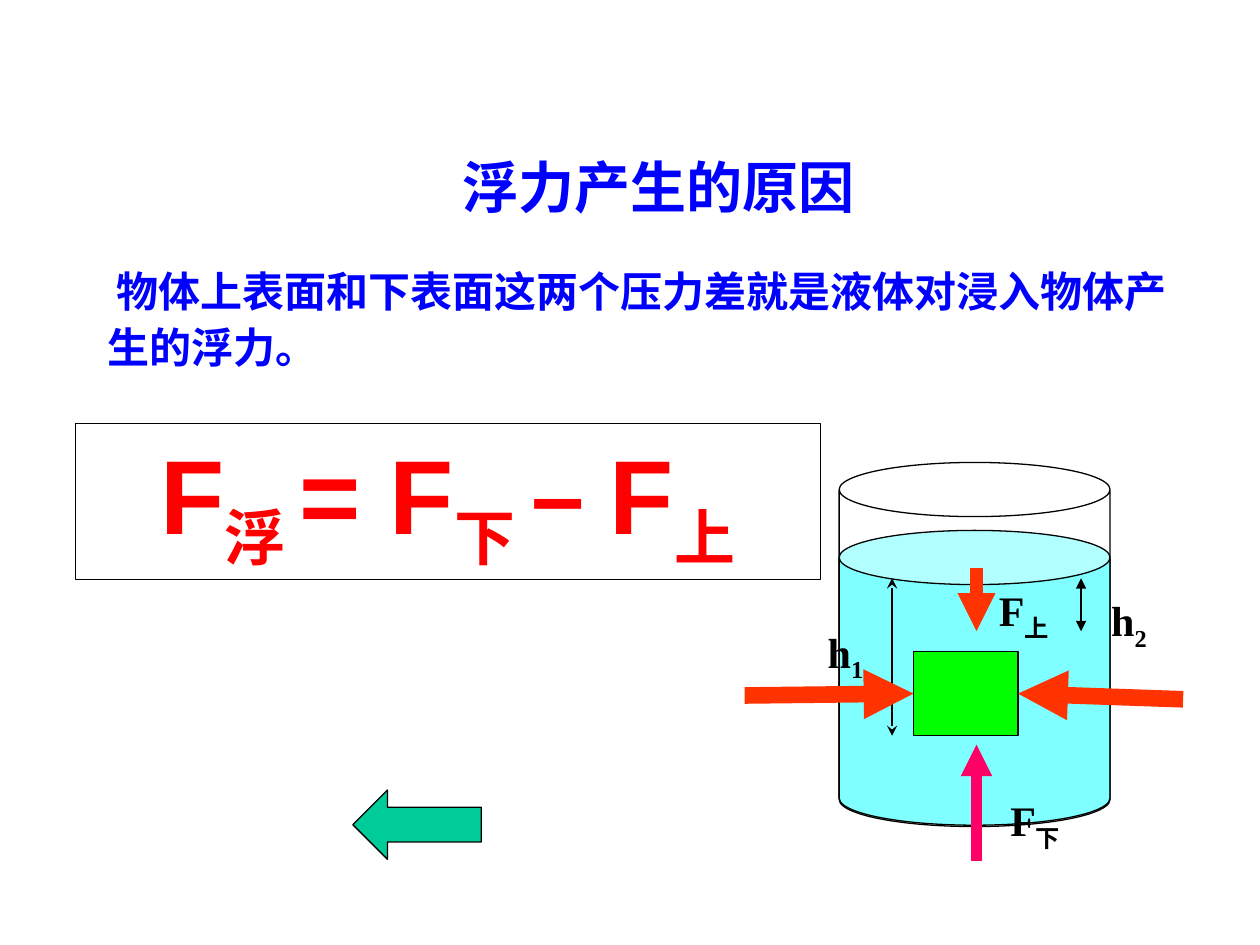
"""Build a slide on the cause of buoyancy, with a labelled force diagram."""
from lxml import etree
from pptx import Presentation
from pptx.dml.color import RGBColor
from pptx.enum.shapes import MSO_CONNECTOR, MSO_SHAPE
from pptx.enum.text import MSO_ANCHOR, MSO_AUTO_SIZE, PP_ALIGN
from pptx.oxml.ns import qn
from pptx.util import Inches, Pt

STRAIGHT = MSO_CONNECTOR.STRAIGHT
CAN, RECT, LEFT_ARROW = MSO_SHAPE.CAN, MSO_SHAPE.RECTANGLE, MSO_SHAPE.LEFT_ARROW
LEFT, CENTER = PP_ALIGN.LEFT, PP_ALIGN.CENTER
TOP, NO_AUTOFIT = MSO_ANCHOR.TOP, MSO_AUTO_SIZE.NONE

BLACK = RGBColor(0, 0, 0)
BLUE = RGBColor(0, 0, 0xFF)
RED = RGBColor(0xFF, 0, 0)
CYAN = RGBColor(0, 0xFF, 0xFF)
GREEN = RGBColor(0, 0xFF, 0)
TEAL = RGBColor(0, 0xCC, 0x99)
ORANGE = RGBColor(0xFF, 0x33, 0)
PINK = RGBColor(0xFF, 0, 0x66)

SERIF, SANS, CJK = "Times New Roman", "Arial", "Noto Sans CJK SC"
SUB = True

TITLE = [(" 浮力产生的原因",)]
BODY = [(" 物体上表面和下表面这两个压力差就是液体对浸入物体产生的浮力。",)]
FORMULA = [("F",), ("浮 ", SUB), ("= F",), ("下 ", SUB),
           ("– ", False, CJK), ("F",), ("上", SUB)]
LABELS = [
    ("h", "1", (6.42, 4.92, 0.58, 0.56), CENTER),
    ("h", "2", (8.67, 4.67, 0.58, 0.56), CENTER),
    ("F", "下", (7.92, 6.26, 0.75, 0.56), LEFT),
    ("F", "上", (7.83, 4.59, 0.92, 0.56), LEFT),
]
SHAPES = {
    "beaker": (CAN, (6.66, 3.67, 2.15, 2.89), [0.2], None),
    "water": (CAN, (6.66, 4.21, 2.15, 2.34), [0.2], CYAN),
    "block": (RECT, (7.25, 5.17, 0.83, 0.67), [], GREEN),
    "back arrow": (LEFT_ARROW, (2.8, 6.27, 1.02, 0.55), [0.5, 0.5], TEAL),
}
ARROWS = [
    ((7.75, 4.51), (7.75, 5.01), ORANGE, 7.25, None, "triangle"),
    ((7.08, 4.59), (7.08, 5.84), BLACK, 0.75, "stealth", "stealth"),
    ((8.58, 4.59), (8.58, 5.01), BLACK, 0.75, "triangle", "triangle"),
    ((7.75, 6.83), (7.75, 5.91), PINK, 6, None, "triangle"),
]
SIDE_FORCES = [((5.91, 5.52), 1), ((9.39, 5.55), 3)]


def add_text(tf, runs, size=24, font=SANS, color=BLACK, align=LEFT, spacing=1.0, wrap=True):
    tf.word_wrap, tf.auto_size, tf.vertical_anchor = wrap, NO_AUTOFIT, TOP
    p = tf.paragraphs[0]
    pPr = p._p.get_or_add_pPr()
    pPr.set("marL", "0")
    pPr.set("indent", "0")
    etree.SubElement(pPr, qn("a:buNone"))
    p.alignment, p.line_spacing, p.space_before = align, spacing, Pt(0)
    for text, sub, face in ((*run, False, font)[:2] + (run[2] if len(run) > 2 else font,)
                            for run in runs):
        r = p.add_run()
        r.text = text
        r.font.size, r.font.bold, r.font.name = Pt(size), True, face
        r.font.color.rgb = color
        rPr = r._r.get_or_add_rPr()
        etree.SubElement(rPr, qn("a:ea"), typeface=CJK)
        if sub:
            rPr.set("baseline", "-25000")


def place(sp, box):
    sp.left, sp.top, sp.width, sp.height = map(Inches, box)
    return sp


def add_shape(slide, kind, box, adjustments, fill):
    sp = slide.shapes.add_shape(kind, *map(Inches, box))
    sp.shadow.inherit = False
    for i, value in enumerate(adjustments):
        sp.adjustments[i] = value
    if fill is None:
        sp.fill.background()
    else:
        sp.fill.solid()
        sp.fill.fore_color.rgb = fill
    sp.line.color.rgb, sp.line.width = BLACK, Pt(0.75)
    return sp


def add_arrow(slide, start, end, color, width, head, tail):
    line = slide.shapes.add_connector(STRAIGHT, *map(Inches, start + end))
    line.line.color.rgb, line.line.width = color, Pt(width)
    ln = line.line._get_or_add_ln()
    for tag, kind in (("a:headEnd", head), ("a:tailEnd", tail)):
        if kind:
            etree.SubElement(ln, qn(tag), type=kind)
    etree.SubElement(line._element.spPr, qn("a:effectLst"))
    return line


def main():
    prs = Presentation()
    prs.slide_width, prs.slide_height = Inches(10), Inches(7.5)
    s = prs.slides.add_slide(prs.slide_layouts[1])
    title, body = s.placeholders
    add_text(place(title, (3.04, 1.16, 4.27, 0.64)).text_frame, TITLE,
             size=32, color=BLUE, align=CENTER)
    add_text(place(body, (0.75, 2.02, 8.83, 0.98)).text_frame, BODY,
             color=BLUE, spacing=1.1)

    shapes = {name: add_shape(s, *spec) for name, spec in SHAPES.items()}
    water_fill = shapes["water"]._element.spPr.find(qn("a:solidFill"))
    etree.SubElement(water_fill[0], qn("a:alpha"), val="50000")

    for arrow in ARROWS:
        add_arrow(s, *arrow)
    for letter, sub, box, align in LABELS:
        tb = s.shapes.add_textbox(*map(Inches, box))
        add_text(tb.text_frame, [(letter,), (sub, SUB)], font=SERIF, align=align)
    for start, side in SIDE_FORCES:
        force = add_arrow(s, start, start, ORANGE, 9.5, None, "triangle")
        force.end_connect(shapes["block"], side)

    formula = add_shape(s, RECT, (0.6, 3.36, 5.91, 1.24), [], None)
    add_text(formula.text_frame, FORMULA, size=60, color=RED, align=CENTER, wrap=False)
    prs.save("out.pptx")


if __name__ == "__main__":
    main()
